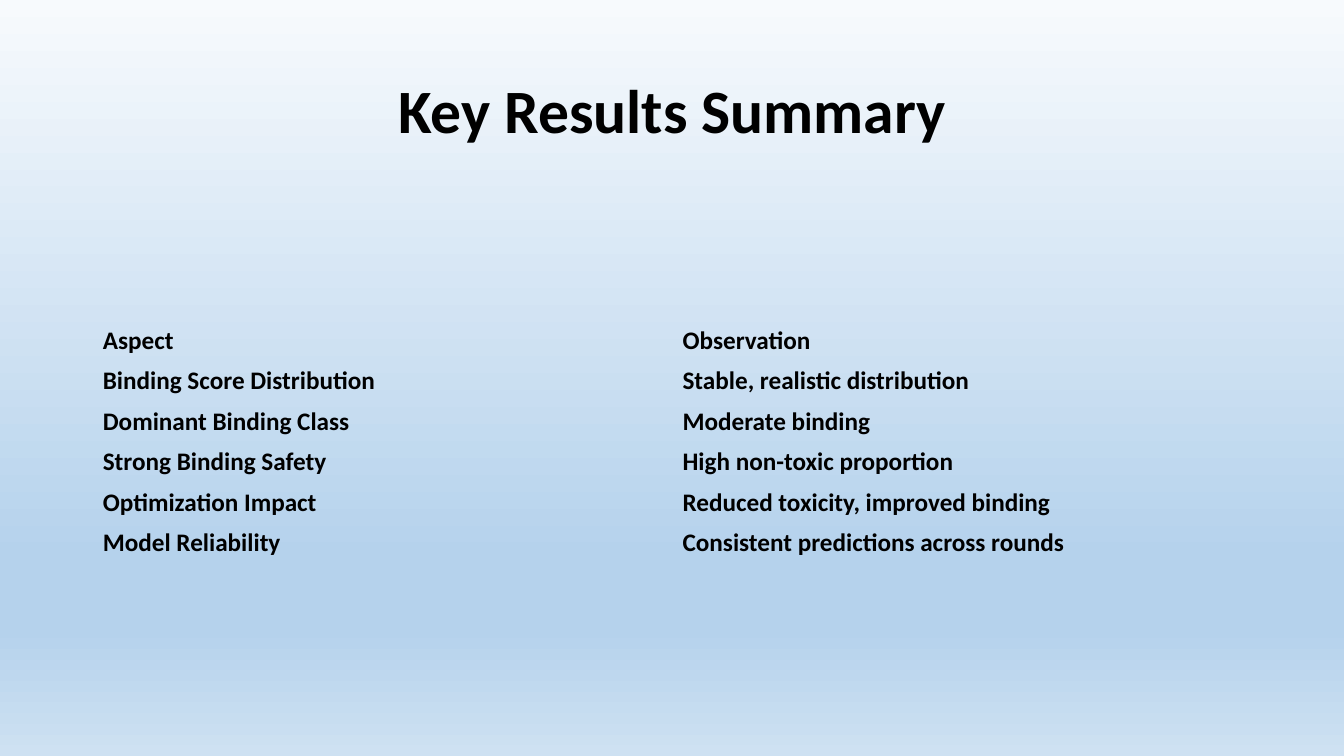
import pptx
import pptx.dml.color
import pptx.enum.text
import pptx.oxml
import pptx.oxml.ns
import pptx.util
from pptx.util import Inches

COLORS = {"text": "000000", "pale": "F7FAFD", "blue": "B5D2EC", "light": "CEE1F2"}
BACKGROUND_STOPS = [(0, "pale"), (74, "blue"), (83, "blue"), (100, "light")]
FONT = "Calibri"
NO_STYLE_NO_GRID = "{2D5ABB26-0587-4C30-8999-92F81FD0307C}"
RESULTS = [
    ("Aspect", "Observation"),
    ("Binding Score Distribution", "Stable, realistic distribution"),
    ("Dominant Binding Class", "Moderate binding"),
    ("Strong Binding Safety", "High non-toxic proportion"),
    ("Optimization Impact", "Reduced toxicity, improved binding"),
    ("Model Reliability", "Consistent predictions across rounds"),
]


def style_paragraph(paragraph, size):
    paragraph.font.name = FONT
    paragraph.font.size = pptx.util.Pt(size)
    paragraph.font.bold = True
    paragraph.font.color.rgb = pptx.dml.color.RGBColor.from_string(COLORS["text"])


def paint_background(slide):
    fill = slide.background.fill
    fill.gradient()
    fill.gradient_angle = 270  # top to bottom
    # Four stops in place of the default two
    stop_list = slide.element.find(".//" + pptx.oxml.ns.qn("a:gsLst"))
    for stop in list(stop_list):
        stop_list.remove(stop)
    for percent, color in BACKGROUND_STOPS:
        stop_list.append(pptx.oxml.parse_xml(
            f'<a:gs {pptx.oxml.ns.nsdecls("a")} pos="{percent * 1000}">'
            f'<a:srgbClr val="{COLORS[color]}"/></a:gs>'))


def add_title(slide, text, left, top, width, height):
    frame = slide.shapes.add_textbox(left, top, width, height).text_frame
    frame.word_wrap = True
    frame.vertical_anchor = pptx.enum.text.MSO_ANCHOR.MIDDLE
    paragraph = frame.paragraphs[0]
    paragraph.text = text
    paragraph.alignment = pptx.enum.text.PP_ALIGN.CENTER
    paragraph.line_spacing = 0.9
    style_paragraph(paragraph, 44)


def add_results_table(slide, rows, left, top, width, height):
    table = slide.shapes.add_table(len(rows), len(rows[0]), left, top, width, height).table
    table.first_row = False
    table.horz_banding = False
    style_id = slide.element.find(".//" + pptx.oxml.ns.qn("a:tableStyleId"))
    style_id.text = NO_STYLE_NO_GRID
    for row_index, row in enumerate(rows):
        for column_index, text in enumerate(row):
            cell = table.cell(row_index, column_index)
            cell.text = text
            cell.fill.background()
            cell.vertical_anchor = pptx.enum.text.MSO_ANCHOR.MIDDLE
            style_paragraph(cell.text_frame.paragraphs[0], 18)


def main():
    presentation = pptx.Presentation()
    presentation.slide_width = Inches(13.33)
    presentation.slide_height = Inches(7.5)
    slide = presentation.slides.add_slide(presentation.slide_layouts[6])
    left, width = Inches(0.92), Inches(11.5)

    paint_background(slide)
    add_title(slide, "Key Results Summary", left, Inches(0.4), width, Inches(1.45))
    add_results_table(slide, RESULTS, left, Inches(3.18), width, Inches(2.4))

    presentation.save("out.pptx")


if __name__ == "__main__":
    main()
